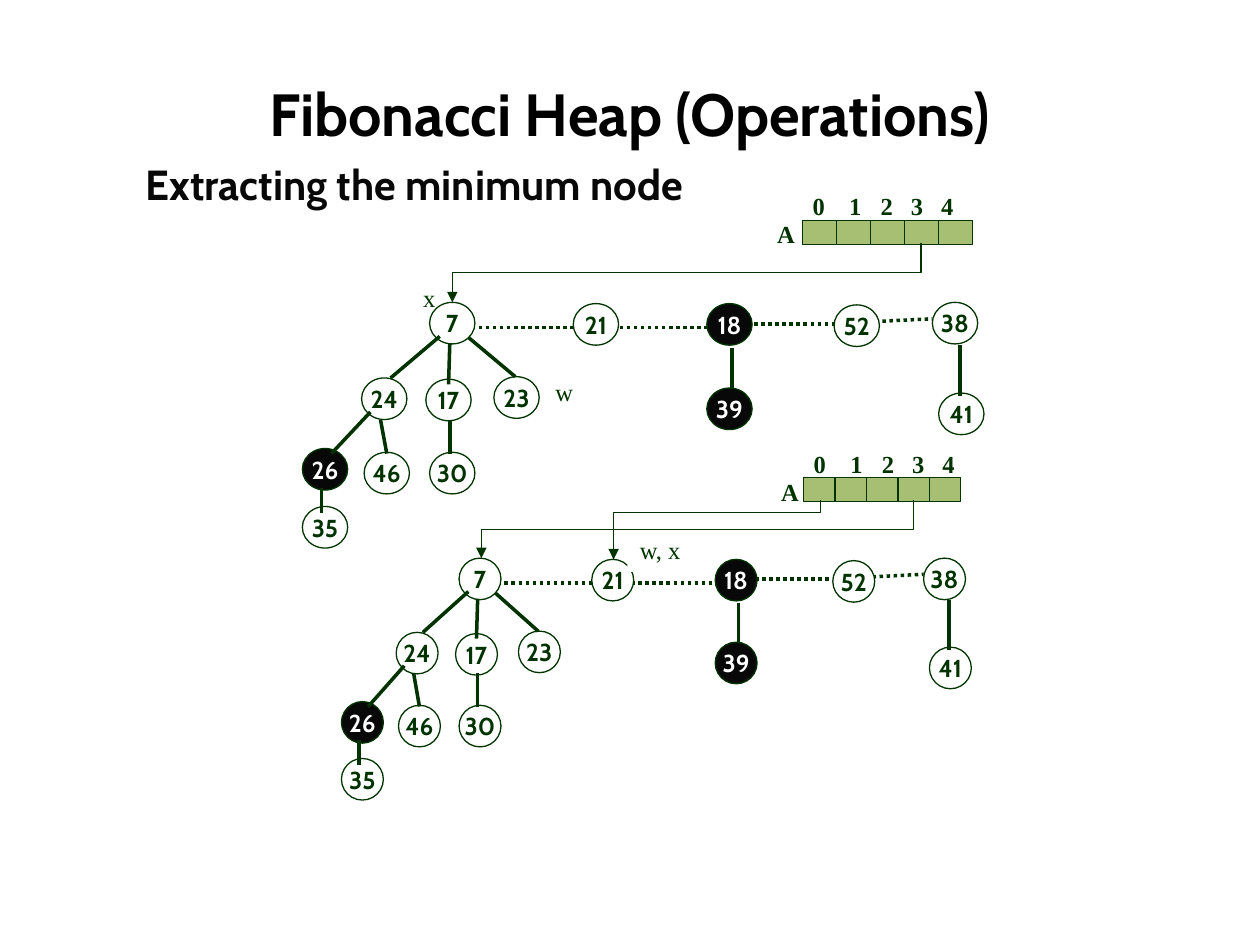
from lxml.etree import SubElement
from pptx import Presentation
from pptx.dml.color import RGBColor
from pptx.enum.dml import MSO_LINE
from pptx.enum.shapes import MSO_CONNECTOR, MSO_SHAPE
from pptx.enum.text import MSO_ANCHOR, MSO_AUTO_SIZE, PP_ALIGN
from pptx.oxml.ns import qn
from pptx.util import Inches, Pt

GREEN = RGBColor(0x00, 0x33, 0x00)
BLACK = RGBColor(0x08, 0x08, 0x08)
TITLE = RGBColor(0x00, 0x00, 0x00)
WHITE = RGBColor(0xFF, 0xFF, 0xFF)
OLIVE = RGBColor(0xA6, 0xBF, 0x73)
SANS, SERIF = "Cabin", "Times New Roman"

NODES = [("7", 3.41, 2.4), ("21", 4.55, 2.41), ("18", 5.61, 2.41), ("52", 6.62, 2.42),
         ("38", 7.4, 2.4), ("24", 2.87, 3), ("17", 3.38, 3.01), ("23", 3.92, 2.99),
         ("39", 5.61, 3.08), ("41", 7.45, 3.12), ("26", 2.4, 3.56), ("46", 2.89, 3.59),
         ("30", 3.41, 3.59), ("35", 2.4, 4.02)]
MARKED = {"18", "39", "26"}
ROOT_LINKS = [(3.8, 2.6, 5.68, 2.6), (5.65, 2.57, 6.88, 2.57), (6.78, 2.56, 7.4, 2.53)]
EDGES = [(3.49, 2.67, 3.1, 3), (3.57, 2.73, 3.56, 3.05), (3.72, 2.68, 4.09, 2.99),
         (2.94, 3.27, 2.63, 3.6), (3.02, 3.33, 3.07, 3.6), (2.55, 3.87, 2.55, 4.07),
         (3.57, 3.33, 3.57, 3.6), (5.81, 2.76, 5.81, 3.09), (7.62, 2.74, 7.62, 3.14)]
INDEXES = "01234"
INDEX_TABS = [0.29, 0.54, 0.78, 1.02]
STEPS = [
    {"frame": (2.4, 2.4, 7.4, 4.02),
     "tags": [("w", 4.31, 2.94, 0.37, True), ("x", 3.26, 2.2, 0.33, False)],
     "arrows": [(7.31, 1.93, 3.59, 2.4, 0.5)]},
    {"frame": (2.71, 4.43, 7.33, 6.02),
     "tags": [("w, x", 4.98, 4.2, 0.53, True)],
     "arrows": [(7.25, 3.97, 3.82, 4.43, 0.5), (6.51, 3.97, 4.87, 4.44, 0.21)]},
]


def add_run(p, text, size, font, color, bold=True):
    r = p.add_run()
    r.text = text
    r.font.size, r.font.name, r.font.bold = Pt(size), font, bold
    r.font.color.rgb = color


def add_label(s, text, x, y, w, bold=False, filled=False):
    tb = s.shapes.add_textbox(Inches(x), Inches(y), Inches(w), Inches(0.34))
    tb.text_frame.word_wrap = False
    if filled:
        tb.fill.solid()
        tb.fill.fore_color.rgb = WHITE
    add_run(tb.text_frame.paragraphs[0], text, 14, SERIF, GREEN, bold)


def add_index_row(s, x, y):
    tb = s.shapes.add_textbox(Inches(x), Inches(y), Inches(1.45), Inches(0.34))
    tb.text_frame.word_wrap = True
    p = tb.text_frame.paragraphs[0]
    tabs = SubElement(p._p.get_or_add_pPr(), qn("a:tabLst"))
    for pos in INDEX_TABS:
        SubElement(tabs, qn("a:tab"), pos=str(Inches(pos)), algn="l")
    add_run(p, "\t".join(INDEXES), 14, SERIF, GREEN)


def add_outlined(s, kind, x, y, w, h, fill):
    sp = s.shapes.add_shape(kind, Inches(x), Inches(y), Inches(w), Inches(h))
    sp.shadow.inherit = False
    sp.fill.solid()
    sp.fill.fore_color.rgb = fill
    sp.line.color.rgb = GREEN
    sp.line.width = Pt(0.75)
    return sp


def add_node(s, key, x, y, w, h):
    marked = key in MARKED
    sp = add_outlined(s, MSO_SHAPE.OVAL, x, y, w, h, BLACK if marked else WHITE)
    tf = sp.text_frame
    tf.word_wrap = False
    tf.vertical_anchor = MSO_ANCHOR.MIDDLE
    tf.paragraphs[0].alignment = PP_ALIGN.CENTER
    add_run(tf.paragraphs[0], key, 14, SANS, WHITE if marked else GREEN)


def add_line(s, x1, y1, x2, y2, width=2.0, kind=MSO_CONNECTOR.STRAIGHT):
    c = s.shapes.add_connector(kind, Inches(x1), Inches(y1), Inches(x2), Inches(y2))
    c.line.color.rgb = GREEN
    c.line.width = Pt(width)
    SubElement(c._element.spPr, qn("a:effectLst"))
    return c


def add_pointer(s, x1, y1, x2, y2, bend):
    cx, cy = (x1 + x2) / 2, (y1 + y2) / 2
    half_w, half_h = (y2 - y1) / 2, (x1 - x2) / 2
    c = add_line(s, cx - half_w, cy - half_h, cx + half_w, cy + half_h, 0.75,
                 MSO_CONNECTOR.ELBOW)
    spPr = c._element.spPr
    spPr.find(qn("a:xfrm")).set("rot", "5400000")
    guides = spPr.find(qn("a:prstGeom")).find(qn("a:avLst"))
    SubElement(guides, qn("a:gd"), name="adj1", fmla=f"val {round(bend * 100000)}")
    SubElement(spPr.find(qn("a:ln")), qn("a:tailEnd"), type="triangle")


def add_step(s, step):
    left, top, right, bottom = STEPS[0]["frame"]
    x0, y0, x1, y1 = step["frame"]
    kx, ky = (x1 - x0) / (right - left), (y1 - y0) / (bottom - top)

    def place(x, y):
        return x0 + (x - left) * kx, y0 + (y - top) * ky

    add_index_row(s, *place(6.35, 1.47))
    for i in range(len(INDEXES)):
        add_outlined(s, MSO_SHAPE.RECTANGLE, *place(6.37 + 0.27 * i, 1.75),
                     0.27 * kx, 0.19 * ky, OLIVE)
    add_label(s, "A", *place(6.07, 1.69), 0.37, bold=True)
    for link in ROOT_LINKS:
        c = add_line(s, *place(*link[:2]), *place(*link[2:]))
        c.line.dash_style = MSO_LINE.ROUND_DOT
    for key, x, y in NODES:
        add_node(s, key, *place(x, y), 0.36 * kx, 0.33)
    for text, x, y, w, filled in step["tags"]:
        add_label(s, text, x, y, w, filled=filled)
    for edge in EDGES:
        add_line(s, *place(*edge[:2]), *place(*edge[2:]))
    for arrow in step["arrows"]:
        add_pointer(s, *arrow)


def main():
    """Build the slide on extracting the minimum node of a Fibonacci heap."""
    prs = Presentation()
    prs.slide_width, prs.slide_height = Inches(10), Inches(7.5)
    s = prs.slides.add_slide(prs.slide_layouts[5])

    title = s.shapes.title
    title.left, title.top = Inches(0.5), Inches(0.5)
    title.width, title.height = Inches(9), Inches(0.79)
    tf = title.text_frame
    tf.auto_size = MSO_AUTO_SIZE.NONE
    tf.vertical_anchor = MSO_ANCHOR.MIDDLE
    tf.paragraphs[0].alignment = PP_ALIGN.CENTER
    add_run(tf.paragraphs[0], "Fibonacci Heap (Operations)", 34, SANS, TITLE)

    tb = s.shapes.add_textbox(Inches(1.06), Inches(1.01), Inches(7.87), Inches(2.43))
    tb.text_frame.word_wrap = True
    p = tb.text_frame.paragraphs[0]
    p.alignment, p.line_spacing = PP_ALIGN.JUSTIFY, 1.5
    add_run(p, "Extracting the minimum node", 24, SANS, BLACK)

    for step in STEPS:
        add_step(s, step)
    prs.save("out.pptx")


if __name__ == "__main__":
    main()
